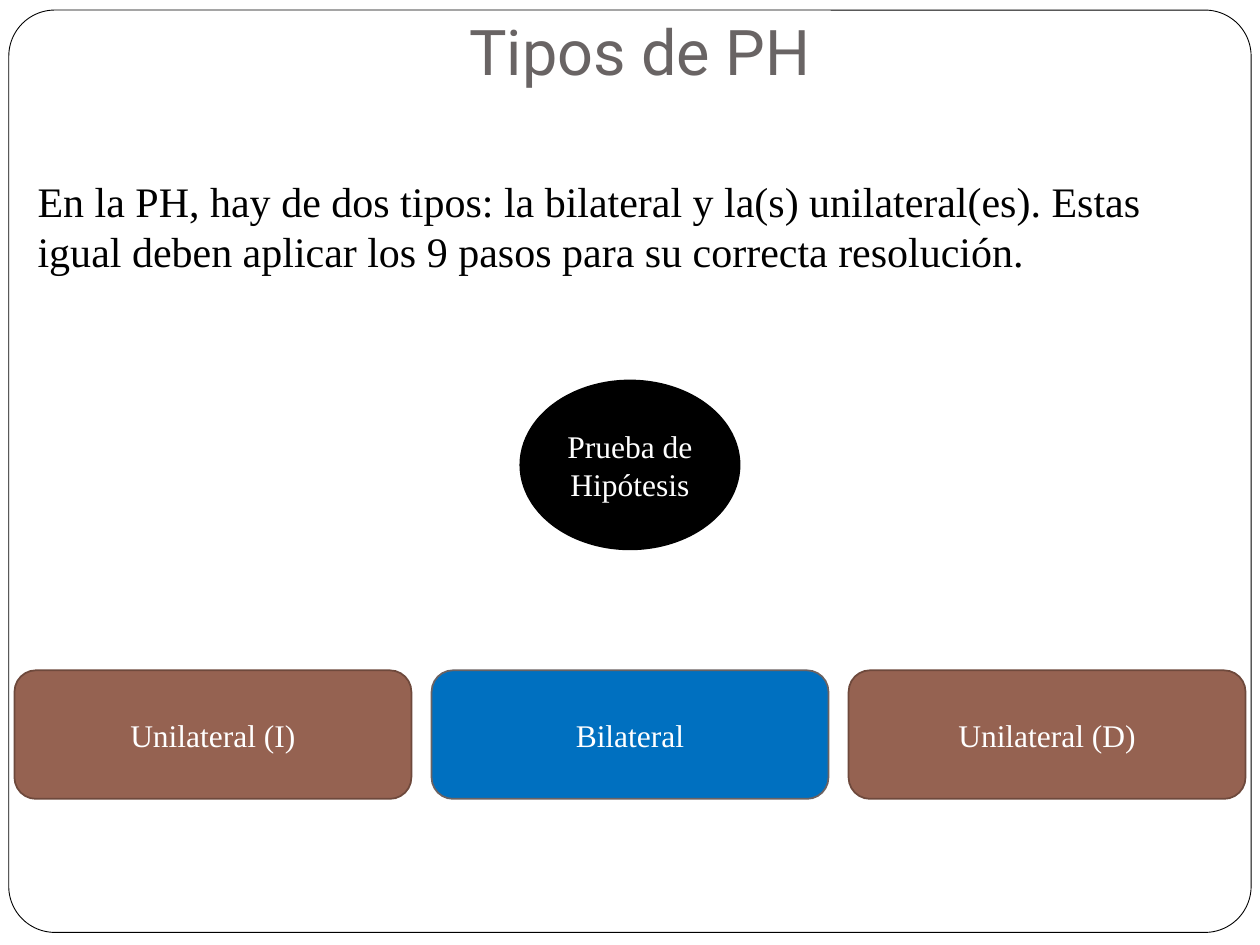
import pptx
import pptx.util
import pptx.dml.color
import pptx.enum.shapes
import pptx.enum.text

SHAPES = pptx.enum.shapes.MSO_SHAPE
ALIGN = pptx.enum.text.PP_ALIGN
ANCHOR = pptx.enum.text.MSO_ANCHOR
WIDTH, HEIGHT = 10, 7.5

presentation = pptx.Presentation()
presentation.slide_width = pptx.util.Inches(WIDTH)
presentation.slide_height = pptx.util.Inches(HEIGHT)
slide = presentation.slides.add_slide(presentation.slide_layouts[6])


def color(value):
    return pptx.dml.color.RGBColor.from_string(value)


def add_text(text, left, top, width, height, kind=None, fill="FFFFFF", line="000000",
             line_width=1, size=18, font="Times New Roman", text_color="FFFFFF",
             align=ALIGN.CENTER, anchor=ANCHOR.MIDDLE):
    """Add a text box, or a filled shape when kind is given; lengths in inches."""
    box = [pptx.util.Inches(length) for length in (left, top, width, height)]
    if kind is None:
        shape = slide.shapes.add_textbox(*box)
    else:
        shape = slide.shapes.add_shape(kind, *box)
        shape.shadow.inherit = False
        shape.fill.solid()
        shape.fill.fore_color.rgb = color(fill)
        shape.line.color.rgb = color(line)
        shape.line.width = pptx.util.Pt(line_width)
    frame = shape.text_frame
    frame.word_wrap = True
    frame.vertical_anchor = anchor
    paragraph = frame.paragraphs[0]
    paragraph.alignment = align
    if text:
        run = paragraph.add_run()
        run.text = text
        run.font.size = pptx.util.Pt(size)
        run.font.name = font
        run.font.color.rgb = color(text_color)
    return shape


# Slide frame
margin = 0.07
frame_shape = add_text("", margin, 0.08, WIDTH - 2 * margin, 7.32,
                       kind=SHAPES.ROUNDED_RECTANGLE, line_width=0.5)
frame_shape.adjustments[0] = 0.05

# Title and introduction
title = add_text("Tipos de PH", 0.83, 0.14, 8.5, 0.66, size=36, font="Roboto",
                 text_color="696464", anchor=ANCHOR.BOTTOM)
title.text_frame.margin_bottom = pptx.util.Inches(0.1)
add_text("En la PH, hay de dos tipos: la bilateral y la(s) unilateral(es). "
         "Estas igual deben aplicar los 9 pasos para su correcta resolución.",
         0.2, 1.34, 9.61, 1.22, size=24, text_color="000000",
         align=ALIGN.LEFT, anchor=ANCHOR.TOP)

# Central concept
oval_width = 1.74
add_text("Prueba de Hipótesis", (WIDTH - oval_width) / 2, 3.02, oval_width, 1.34,
         kind=SHAPES.OVAL, fill="000000")

# Row of test types, centred on the slide
types = [
    ("Unilateral (I)", "956251", "6E493C"),
    ("Bilateral", "0070C0", "6B6262"),
    ("Unilateral (D)", "956251", "6E493C"),
]
card_width, gap = 3.15, 0.16
row_left = (WIDTH - len(types) * card_width - (len(types) - 1) * gap) / 2
for column, (label, fill, line) in enumerate(types):
    add_text(label, row_left + column * (card_width + gap), 5.32, card_width, 1.02,
             kind=SHAPES.ROUNDED_RECTANGLE, fill=fill, line=line)

presentation.save("out.pptx")
